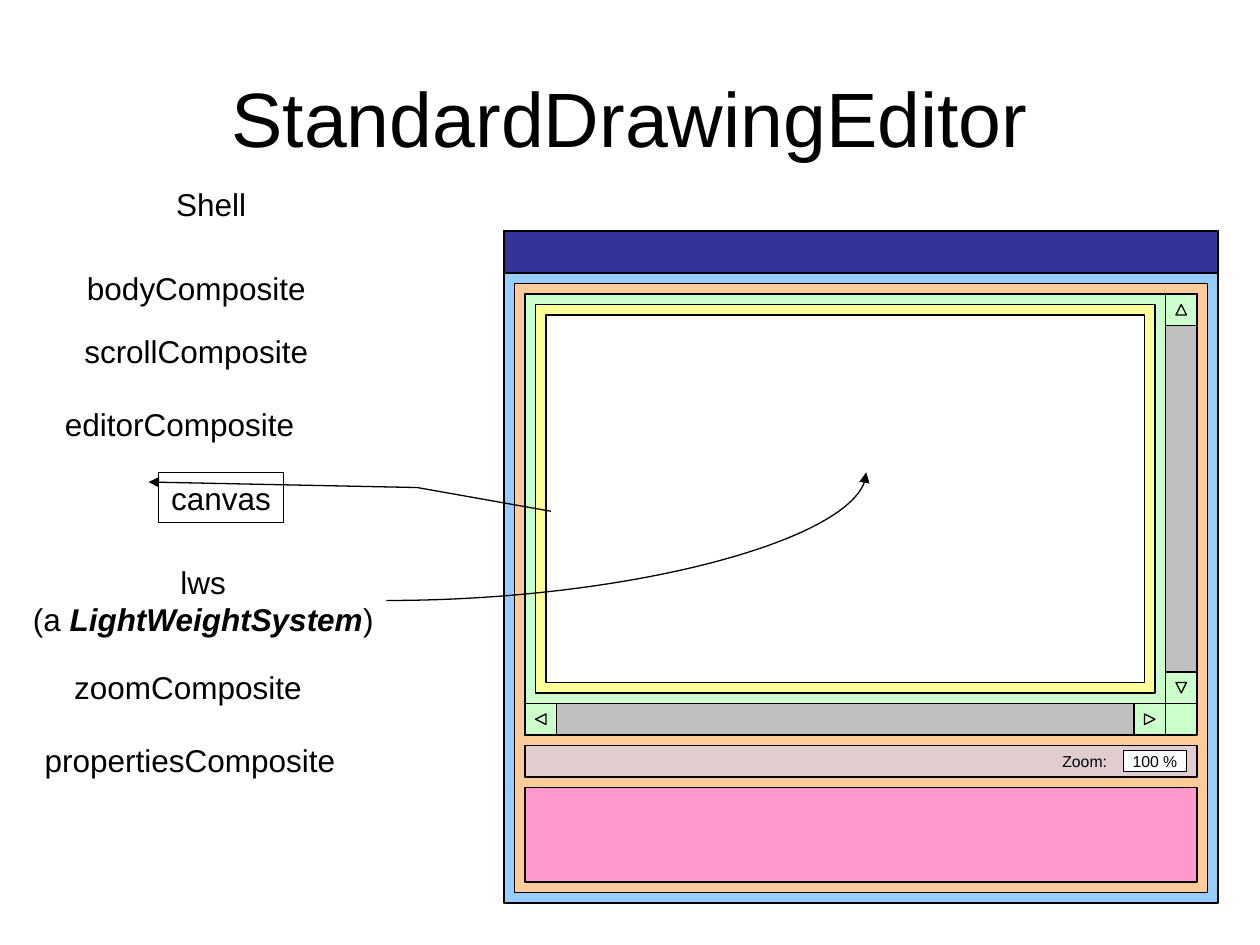
"""Builds the StandardDrawingEditor slide: widget names beside a nested window diagram."""
from lxml import etree
from pptx import Presentation
from pptx import util as u
from pptx.dml.color import RGBColor
from pptx.enum import shapes, text
from pptx.oxml.ns import qn

PX = 914400 // 120
FONT = "Arial"
COLORS = {
    "black": "000000", "white": "FFFFFF", "shell": "99CCFF", "title bar": "333399",
    "body": "FFCC99", "scroll": "CCFFCC", "track": "C0C0C0", "editor": "FFFF99",
    "zoom": "E1CDD0", "properties": "FF99CC",
}
TITLE = "StandardDrawingEditor"
PANELS = [
    ("shell", 480, 220, 680, 640),
    ("title bar", 480, 220, 680, 40),
    ("body", 490, 270, 660, 580),
    ("scroll", 500, 280, 640, 420),
    ("track", 500, 670, 610, 30),
    ("track", 1110, 280, 30, 390),
    ("editor", 510, 290, 590, 370),
    ("white", 520, 300, 570, 350),
    ("zoom", 500, 710, 640, 30),
    ("properties", 500, 750, 640, 90),
]
SCROLL_BUTTONS = [(500, 670, 90), (1110, 280, 180), (1080, 670, 270), (1110, 640, 0)]
BUTTON, ARROW = 30, 10
LABELS = [
    ("Shell", 155, 170, 92),
    ("bodyComposite", 70, 250, 234),
    ("scrollComposite", 67, 310, 240),
    ("editorComposite", 49, 380, 244),
    ("zoomComposite", 58, 630, 242),
    ("propertiesComposite", 30, 700, 302),
]
LABEL_HEIGHT = 48
LWS_LINES = [["lws"], ["(a ", "LightWeightSystem", ")"]]
LWS_BOX = (18, 530, 351, 84)
EMPHASIS = {"LightWeightSystem"}
CANVAS_CALLOUT = (151, 450, 119, 48)
CALLOUT_BENDS = [0.19, -0.08, 0.3, 2.07, 0.77, 3.14]
LWS_ARROW = (368, 572, 825, 450)


def px(*lengths):
    return [u.Emu(length * PX) for length in lengths]


def color(name):
    return RGBColor.from_string(COLORS[name])


def outline(line):
    line.color.rgb = color("black")
    line.width = u.Pt(0.75)


def add_arrowhead(shape, end):
    line = shape.line._get_or_add_ln()
    etree.SubElement(line, qn(f"a:{end}"), type="triangle")


def add_box(slide, kind, area, fill=None, rotation=0):
    box = slide.shapes.add_shape(kind, *px(*area))
    box.shadow.inherit = False
    box.rotation = rotation
    if fill:
        box.fill.solid()
        box.fill.fore_color.rgb = color(fill)
    else:
        box.fill.background()
    outline(box.line)
    return box


def write(box, lines, size, align=text.PP_ALIGN.CENTER, anchor=text.MSO_ANCHOR.TOP):
    frame = box.text_frame
    frame.word_wrap = False
    frame.vertical_anchor = anchor
    for index, line in enumerate(lines):
        para = frame.add_paragraph() if index else frame.paragraphs[0]
        para.alignment = align
        for words in line:
            span = para.add_run()
            span.text = words
            span.font.name = FONT
            span.font.size = u.Pt(size)
            span.font.color.rgb = color("black")
            span.font.bold = span.font.italic = words in EMPHASIS


def add_window(slide):
    rectangle = shapes.MSO_SHAPE.RECTANGLE
    for fill, *area in PANELS:
        add_box(slide, rectangle, area, fill)
    inset = (BUTTON - ARROW) // 2
    for left, top, turn in SCROLL_BUTTONS:
        add_box(slide, rectangle, (left, top, BUTTON, BUTTON), "scroll")
        area = (left + inset, top + inset, ARROW, ARROW)
        add_box(slide, shapes.MSO_SHAPE.FLOWCHART_MERGE, area, "scroll", turn)
    caption = slide.shapes.add_textbox(*px(1000, 710, 70, 30))
    write(caption, [["Zoom:"]], 9, text.PP_ALIGN.LEFT)
    field = add_box(slide, rectangle, (1070, 715, 60, 20), "white")
    write(field, [["100 %"]], 9, anchor=text.MSO_ANCHOR.MIDDLE)


def add_labels(slide):
    for name, left, top, width in LABELS:
        area = (left, top, width, LABEL_HEIGHT)
        label = add_box(slide, shapes.MSO_SHAPE.RECTANGLE, area)
        label.line.fill.background()
        write(label, [[name]], 18)
    write(slide.shapes.add_textbox(*px(*LWS_BOX)), LWS_LINES, 18)
    callout = add_box(slide, shapes.MSO_SHAPE.LINE_CALLOUT_2, CANVAS_CALLOUT)
    for index, bend in enumerate(CALLOUT_BENDS):
        callout.adjustments[index] = bend
    add_arrowhead(callout, "headEnd")
    write(callout, [["canvas"]], 18)


def add_lws_arrow(slide):
    arrow = slide.shapes.add_connector(shapes.MSO_CONNECTOR.CURVE, *px(*LWS_ARROW))
    outline(arrow.line)
    add_arrowhead(arrow, "tailEnd")
    properties = arrow._element.spPr
    properties.find(qn("a:prstGeom")).set("prst", "curvedConnector2")
    etree.SubElement(properties, qn("a:effectLst"))


def main():
    deck = Presentation()
    deck.slide_width, deck.slide_height = px(1200, 900)
    slide = deck.slides.add_slide(deck.slide_layouts[5])
    title = slide.shapes.title
    title.left, title.top, title.width, title.height = px(60, 36, 1080, 150)
    write(title, [[TITLE]], 44, anchor=text.MSO_ANCHOR.MIDDLE)
    add_window(slide)
    add_labels(slide)
    add_lws_arrow(slide)
    deck.save("out.pptx")


if __name__ == "__main__":
    main()
